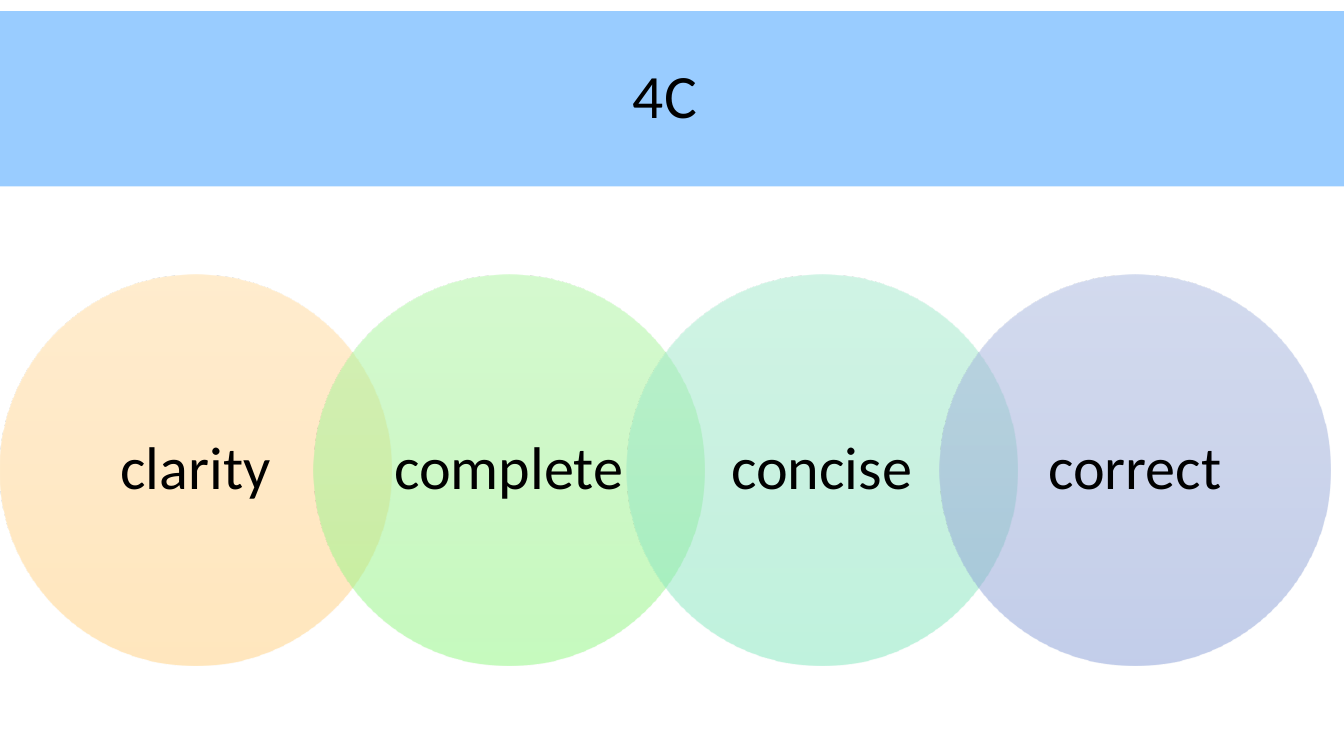
from lxml.etree import SubElement
from pptx import Presentation
from pptx.dml.color import RGBColor
from pptx.enum.shapes import MSO_SHAPE
from pptx.enum.text import MSO_ANCHOR, PP_ALIGN
from pptx.oxml.ns import qn
from pptx.util import Cm, Pt

COLORS = {
    "banner": "99CCFF",
    "text": "000000",
    "clarity": ("FFDB9E", "FFD590", "FFD07C"),
    "complete": ("ACF6A0", "9FF392", "8EF77D"),
    "concise": ("A3EACC", "95E6C4", "81E7BD"),
    "correct": ("A8B7DF", "9AABD9", "889ED7"),
}


def write_label(shape, text, size):
    frame = shape.text_frame
    frame.text = text
    frame.word_wrap = True
    frame.vertical_anchor = MSO_ANCHOR.MIDDLE
    paragraph = frame.paragraphs[0]
    paragraph.alignment = PP_ALIGN.CENTER
    paragraph.line_spacing = 0.9
    font = paragraph.runs[0].font
    font.name = "Calibri"
    font.size = Pt(size)
    font.color.rgb = RGBColor.from_string(COLORS["text"])


def fill_translucent_gradient(shape, shades):
    shape.fill.gradient()
    shape.fill.gradient_angle = 270
    stops = shape._element.spPr.find(qn("a:gradFill")).find(qn("a:gsLst"))
    for stop in list(stops):
        stops.remove(stop)
    for position, shade in zip((0, 50000, 100000), shades):
        stop = SubElement(stops, qn("a:gs"), pos=str(position))
        color = SubElement(stop, qn("a:srgbClr"), val=shade)
        SubElement(color, qn("a:alpha"), val="50000")


prs = Presentation()
prs.slide_width = Cm(33.87)
prs.slide_height = Cm(19.05)
slide = prs.slides.add_slide(prs.slide_layouts[6])

banner = slide.shapes.add_shape(
    MSO_SHAPE.RECTANGLE, 0, Cm(0.28), prs.slide_width, Cm(4.42)
)
banner.shadow.inherit = False
banner.fill.solid()
banner.fill.fore_color.rgb = RGBColor.from_string(COLORS["banner"])
banner.line.fill.background()
write_label(banner, "4C ", 44)

diameter = Cm(9.86)
step = Cm(7.89)
for index, quality in enumerate(("clarity", "complete", "concise", "correct")):
    circle = slide.shapes.add_shape(
        MSO_SHAPE.OVAL, index * step, Cm(6.91), diameter, diameter
    )
    circle.shadow.inherit = False
    circle.line.fill.background()
    fill_translucent_gradient(circle, COLORS[quality])
    write_label(circle, quality, 43)
    frame = circle.text_frame
    frame.margin_left = frame.margin_right = Cm(0.53)
    frame.margin_top = frame.margin_bottom = Cm(0.15)

prs.save("out.pptx")
